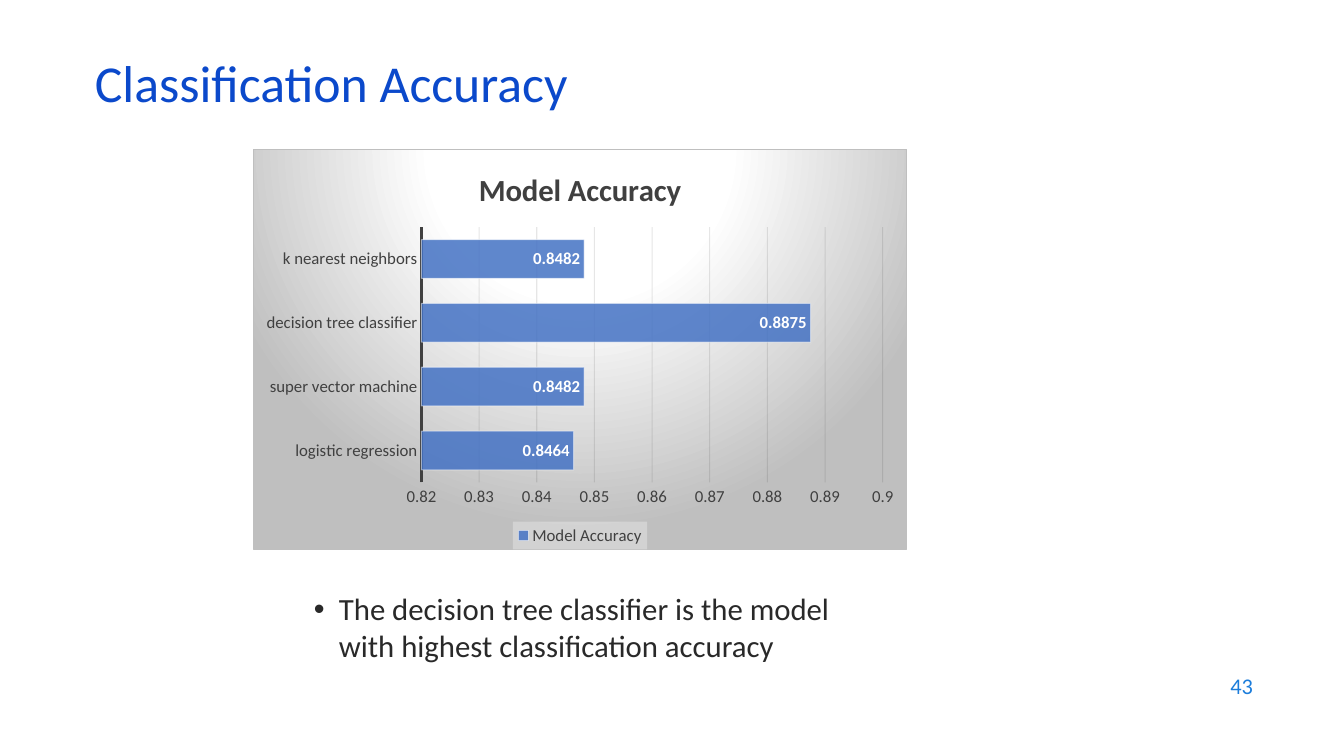
from dataclasses import dataclass

from lxml.etree import SubElement
from pptx import Presentation
from pptx.chart.data import CategoryChartData
from pptx.dml.color import RGBColor
from pptx.enum.chart import XL_CHART_TYPE as ChartType
from pptx.enum.chart import XL_LABEL_POSITION as LabelPosition
from pptx.enum.chart import XL_LEGEND_POSITION as LegendPosition
from pptx.enum.chart import XL_TICK_MARK as TickMark
from pptx.enum.text import MSO_ANCHOR as Anchor
from pptx.enum.text import PP_ALIGN as Align
from pptx.oxml import parse_xml
from pptx.oxml.ns import nsdecls, qn
from pptx.util import Emu, Pt


@dataclass(frozen=True)
class Theme:
    font: str = "Calibri"
    heading: str = "0B49CB"
    page: str = "1C7DDB"
    body: str = "292929"
    chart_text: str = "404040"
    bar: str = "4472C4"
    grid: str = "0D0D0D"
    edge: str = "BFBFBF"
    legend: str = "F2F2F2"
    white: str = "FFFFFF"
    heading_size: int = 37
    body_size: int = 22
    page_size: int = 16
    chart_title_size: int = 22
    label_size: int = 12


class SlideBuilder:
    def __init__(self, theme, width, height):
        self.theme = theme
        self.deck = Presentation()
        self.deck.slide_width, self.deck.slide_height = self.px(width, height)
        self.slide = self.deck.slides.add_slide(self.deck.slide_layouts[6])

    def px(self, *lengths):
        return [Emu(round(length * 914400 / 100.8)) for length in lengths]

    def style(self, font, size, color, bold=False):
        font.name = self.theme.font
        font.size = Pt(size)
        font.bold = bold
        font.color.rgb = RGBColor.from_string(color)

    def text(self, box, words, size, color, anchor=Anchor.TOP, align=Align.LEFT,
             spacing=None, bullet_indent=0):
        frame = self.slide.shapes.add_textbox(*self.px(*box)).text_frame
        frame.word_wrap = True
        frame.vertical_anchor = anchor
        paragraph = frame.paragraphs[0]
        paragraph.text = words
        paragraph.alignment = align
        if spacing:
            paragraph.line_spacing = spacing
        if bullet_indent:
            indent = self.px(bullet_indent)[0]
            properties = paragraph._p.get_or_add_pPr()
            properties.set("marL", str(indent))
            properties.set("indent", str(-indent))
            SubElement(properties, qn("a:buFont"), typeface="Arial")
            SubElement(properties, qn("a:buChar"), char="•")
        self.style(paragraph.font, size, color)

    def line(self, line, color, width):
        line.color.rgb = RGBColor.from_string(color)
        line.width = Pt(width)

    def fade(self, chart, query, percent):
        for color in chart.element.xpath(query + "/a:solidFill/a:srgbClr"):
            SubElement(color, qn("a:alpha"), val=str(percent * 1000))

    def bar_chart(self, box, name, scores, low, high, step):
        theme = self.theme
        data = CategoryChartData()
        data.categories = list(scores)
        data.add_series(name, list(scores.values()))
        chart = self.slide.shapes.add_chart(
            ChartType.BAR_CLUSTERED, *self.px(*box), data).chart
        self.style(chart.font, theme.label_size, theme.chart_text)

        chart.has_title = True
        heading = chart.chart_title.text_frame
        heading.text = name
        self.style(heading.paragraphs[0].font, theme.chart_title_size,
                   theme.chart_text, True)
        chart.chart_title.include_in_layout = False

        for axis in (chart.category_axis, chart.value_axis):
            axis.major_tick_mark = axis.minor_tick_mark = TickMark.NONE
            self.style(axis.tick_labels.font, theme.label_size, theme.chart_text)
        self.line(chart.category_axis.format.line, theme.chart_text, 1.5)
        values = chart.value_axis
        values.minimum_scale, values.maximum_scale = low, high
        values.major_unit = step
        values.format.line.fill.background()
        values.has_major_gridlines = True
        self.line(values.major_gridlines.format.line, theme.grid, 0.75)
        self.fade(chart, ".//c:majorGridlines/c:spPr/a:ln", 10)

        plot = chart.plots[0]
        plot.gap_width = 65
        plot.vary_by_categories = False
        bars = plot.series[0]
        bars.format.fill.solid()
        bars.format.fill.fore_color.rgb = RGBColor.from_string(theme.bar)
        self.line(bars.format.line, theme.white, 0.75)
        self.fade(chart, ".//c:ser/c:spPr", 85)
        self.fade(chart, ".//c:ser/c:spPr/a:ln", 50)
        labels = bars.data_labels
        labels.show_value = True
        labels.position = LabelPosition.INSIDE_END
        self.style(labels.font, theme.label_size, theme.white, True)

        chart.has_legend = True
        chart.legend.position = LegendPosition.BOTTOM
        chart.legend.include_in_layout = False
        self.style(chart.legend.font, theme.label_size, theme.chart_text)
        self.backdrop(chart)

    def backdrop(self, chart):
        theme = self.theme
        stops = "".join(
            f'<a:gs pos="{place * 1000}"><a:srgbClr val="{color}"/></a:gs>'
            for place, color in ((0, theme.white), (39, theme.white), (100, theme.edge)))
        panel = (
            f'<a:gradFill><a:gsLst>{stops}</a:gsLst><a:path path="circle">'
            '<a:fillToRect l="50000" t="-80000" r="50000" b="180000"/></a:path></a:gradFill>'
            f'<a:ln w="9525"><a:solidFill><a:srgbClr val="{theme.edge}"/></a:solidFill></a:ln>')
        key = (f'<a:solidFill><a:srgbClr val="{theme.legend}"><a:alpha val="39000"/>'
               '</a:srgbClr></a:solidFill><a:ln><a:noFill/></a:ln>')
        for query, content in (("./c:txPr", panel), (".//c:legend/c:txPr", key)):
            chart.element.xpath(query)[0].addprevious(
                parse_xml(f'<c:spPr {nsdecls("c", "a")}>{content}</c:spPr>'))


def main():
    theme = Theme()
    builder = SlideBuilder(theme, 1344, 756)
    builder.text((961, 664, 302, 44), "43", theme.page_size, theme.page,
                 Anchor.MIDDLE, Align.RIGHT)
    builder.text((304, 585, 587, 101),
                 "The decision tree classifier is the model with highest classification accuracy",
                 theme.body_size, theme.body, bullet_indent=25)
    builder.text((85, 59, 1159, 60), "Classification Accuracy", theme.heading_size,
                 theme.heading, Anchor.MIDDLE, spacing=0.7)
    accuracy = {
        "logistic regression": 0.8464,
        "super vector machine": 0.8482,
        "decision tree classifier": 0.8875,
        "k nearest neighbors": 0.8482,
    }
    builder.bar_chart((253, 149, 654, 401), "Model Accuracy", accuracy, 0.82, 0.9, 0.01)
    builder.deck.save("out.pptx")


if __name__ == "__main__":
    main()
